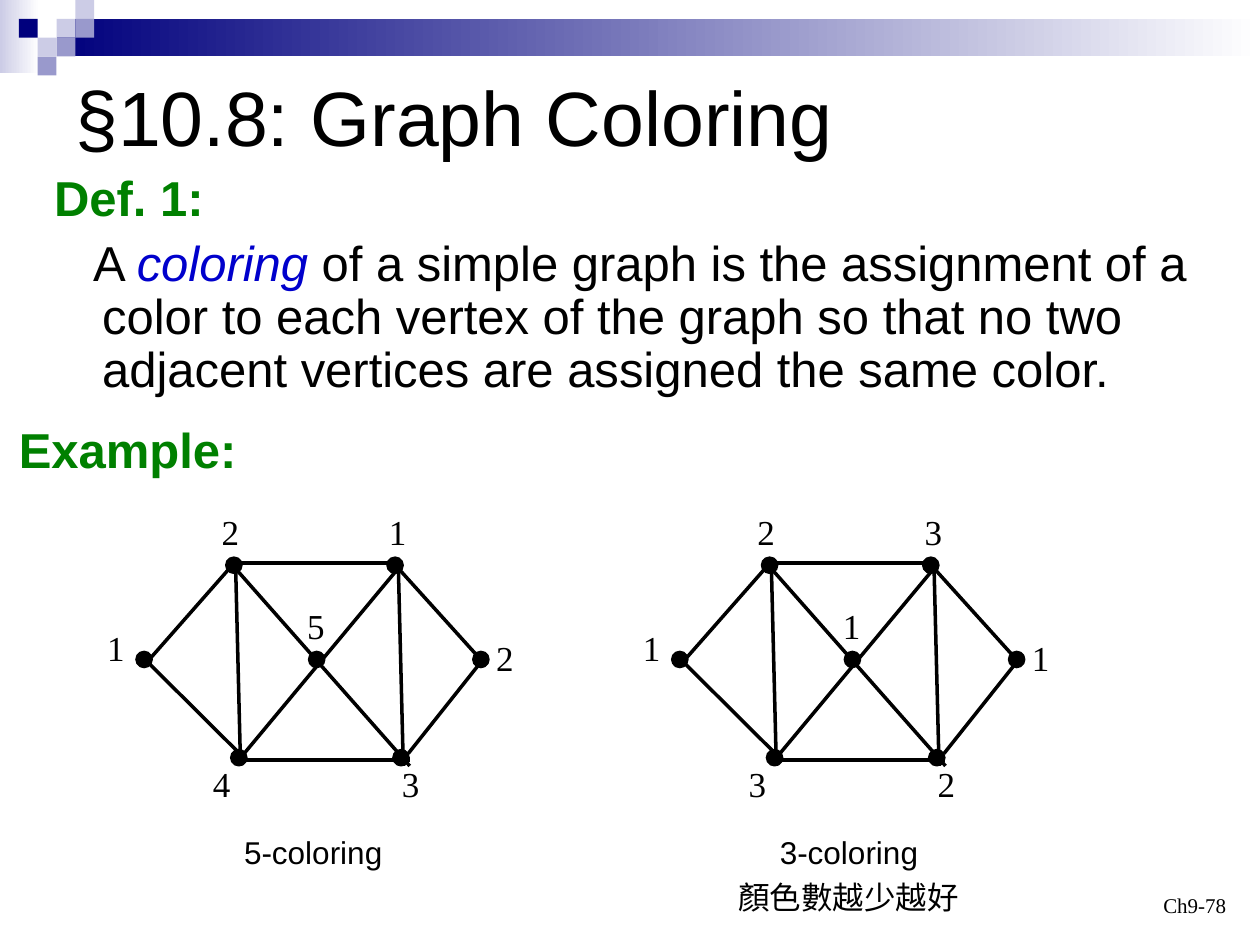
from pptx import Presentation, util as u
from pptx.dml.color import RGBColor
from pptx.enum import shapes, text
from pptx.oxml.ns import qn
from lxml import etree

BLACK, GREEN, BLUE = "000000", "008000", "0000CC"
NAVY, LILAC, PALE, WHITE = "00007D", "9999CC", "CCCCE6", "FFFFFF"


def color(value):
    return RGBColor.from_string(value)


def add_text(content, left, top, width, height, *, size, font="Arial", fill=BLACK,
             bold=False, wrap=True, anchor=text.MSO_ANCHOR.TOP,
             align=text.PP_ALIGN.LEFT, line_spacing=1.0, space_before=0):
    """Content is a string, or a list of paragraphs made of (text, format) runs."""
    box = slide.shapes.add_textbox(u.Cm(left), u.Cm(top), u.Cm(width), u.Cm(height))
    frame = box.text_frame
    frame.word_wrap = wrap
    frame.vertical_anchor = anchor
    paragraphs = [[(content, {})]] if isinstance(content, str) else content
    for index, runs in enumerate(paragraphs):
        paragraph = frame.add_paragraph() if index else frame.paragraphs[0]
        paragraph.alignment = align
        paragraph.line_spacing = line_spacing
        if index:
            paragraph.space_before = u.Pt(space_before)
        for words, style in runs:
            run = paragraph.add_run()
            run.text = words
            run.font.name = font
            run.font.size = u.Pt(size)
            run.font.bold = style.get("bold", bold)
            run.font.italic = style.get("italic", False)
            run.font.color.rgb = color(style.get("fill", fill))
    return box


presentation = Presentation()
presentation.slide_width, presentation.slide_height = u.Cm(25.4), u.Cm(19.05)
slide = presentation.slides.add_slide(presentation.slide_layouts[6])

# Header: two fading bars
for left, top, width, height, start in [(0, 0, 0.79, 1.47, PALE),
                                        (1.14, 0.38, 24.26, 0.76, NAVY)]:
    bar = slide.shapes.add_shape(shapes.MSO_SHAPE.RECTANGLE,
                                 u.Cm(left), u.Cm(top), u.Cm(width), u.Cm(height))
    bar.shadow.inherit = False
    bar.line.fill.background()
    bar.fill.gradient()
    bar.fill.gradient_angle = 0
    for stop, value in zip(bar.fill.gradient_stops, (start, WHITE)):
        stop.color.rgb = color(value)

# Header: small squares on a grid (column, row)
CELL = 0.38
for column, row, value in [(3, 1, PALE), (4, 0, PALE), (4, 1, LILAC), (2, 2, PALE),
                           (1, 1, NAVY), (3, 2, LILAC), (2, 3, LILAC)]:
    square = slide.shapes.add_shape(shapes.MSO_SHAPE.RECTANGLE, u.Cm(column * CELL),
                                    u.Cm(row * CELL), u.Cm(CELL), u.Cm(CELL))
    square.shadow.inherit = False
    square.line.fill.background()
    square.fill.solid()
    square.fill.fore_color.rgb = color(value)

# Title, definition and page number
add_text("§10.8: Graph Coloring", 1.27, 1.27, 22.86, 2.11, size=44,
         anchor=text.MSO_ANCHOR.MIDDLE)
definition = add_text(
    [[("Def. 1:", {"fill": GREEN, "bold": True})],
     [("A ", {}),
      ("coloring", {"fill": BLUE, "italic": True}),
      (" of a simple graph is the assignment of a color to each vertex of the graph "
       "so that no two adjacent vertices are assigned the same color.", {})]],
    0.84, 3.38, 23.7, 4.88, size=28, line_spacing=0.9, space_before=7)
properties = definition.text_frame.paragraphs[1]._p.get_or_add_pPr()
properties.set("marL", str(u.Cm(0.97)))
properties.set("indent", str(u.Cm(-0.18)))
add_text("Ch9-78", 19.05, 17.35, 5.92, 1.27, size=12, font="Times New Roman",
         anchor=text.MSO_ANCHOR.BOTTOM, align=text.PP_ALIGN.RIGHT)
add_text("Example:", 0.13, 8.46, 6.78, 1.32, size=28, fill=GREEN, bold=True,
         line_spacing=0.9)

# Both graphs share these edges: x1, y1, x2, y2
edges = [
    (4.67, 11.35, 8.05, 11.35), (4.88, 15.24, 8.05, 11.43),
    (9.73, 13.34, 8.05, 11.48), (8.03, 11.43, 8.13, 15.44),
    (4.88, 15.32, 8.26, 15.32), (9.7, 13.34, 8.23, 15.19),
    (4.75, 11.43, 4.85, 15.44), (4.65, 11.43, 2.97, 13.34),
    (4.72, 11.43, 8.26, 15.44), (2.97, 13.34, 4.88, 15.24),
]
# Vertices: dot position, then label position
vertices = [
    (4.55, 11.23, 4.22, 10.16), (2.74, 13.13, 1.91, 12.5),
    (6.22, 13.13, 5.94, 12.07), (9.53, 13.13, 9.75, 12.7),
    (7.8, 11.23, 7.59, 10.16), (4.65, 15.11, 4.04, 15.24),
    (7.92, 15.11, 7.85, 15.24),
]
DOT = 0.33

# Each graph: offset to the right, vertex colors, caption
for offset, numbers, caption in [(0, "2152143", "5-coloring"),
                                 (10.8, "2111332", "3-coloring")]:
    for x1, y1, x2, y2 in edges:
        edge = slide.shapes.add_connector(
            shapes.MSO_CONNECTOR.STRAIGHT, u.Cm(x1 + offset), u.Cm(y1),
            u.Cm(x2 + offset), u.Cm(y2))
        edge.line.color.rgb = color(BLACK)
        edge.line.width = u.Pt(2)
        etree.SubElement(edge._element.spPr, qn("a:effectLst"))
    for (x, y, label_x, label_y), number in zip(vertices, numbers):
        dot = slide.shapes.add_shape(shapes.MSO_SHAPE.FLOWCHART_CONNECTOR,
                                     u.Cm(x + offset), u.Cm(y), u.Cm(DOT), u.Cm(DOT))
        dot.shadow.inherit = False
        dot.fill.solid()
        dot.fill.fore_color.rgb = color(BLACK)
        dot.line.color.rgb = color(BLACK)
        dot.line.width = u.Pt(0.75)
        add_text(number, label_x + offset, label_y, 0.86, 1.12, size=20,
                 font="Times New Roman", wrap=False)
    add_text(caption, 4.67 + offset, 16.66, 3.81, 1.02, size=18)

# Remark under the second graph
add_text("顏色數越少越好", 14.63, 17.58, 4.95, 1.02, size=18, wrap=False)

presentation.save("out.pptx")
